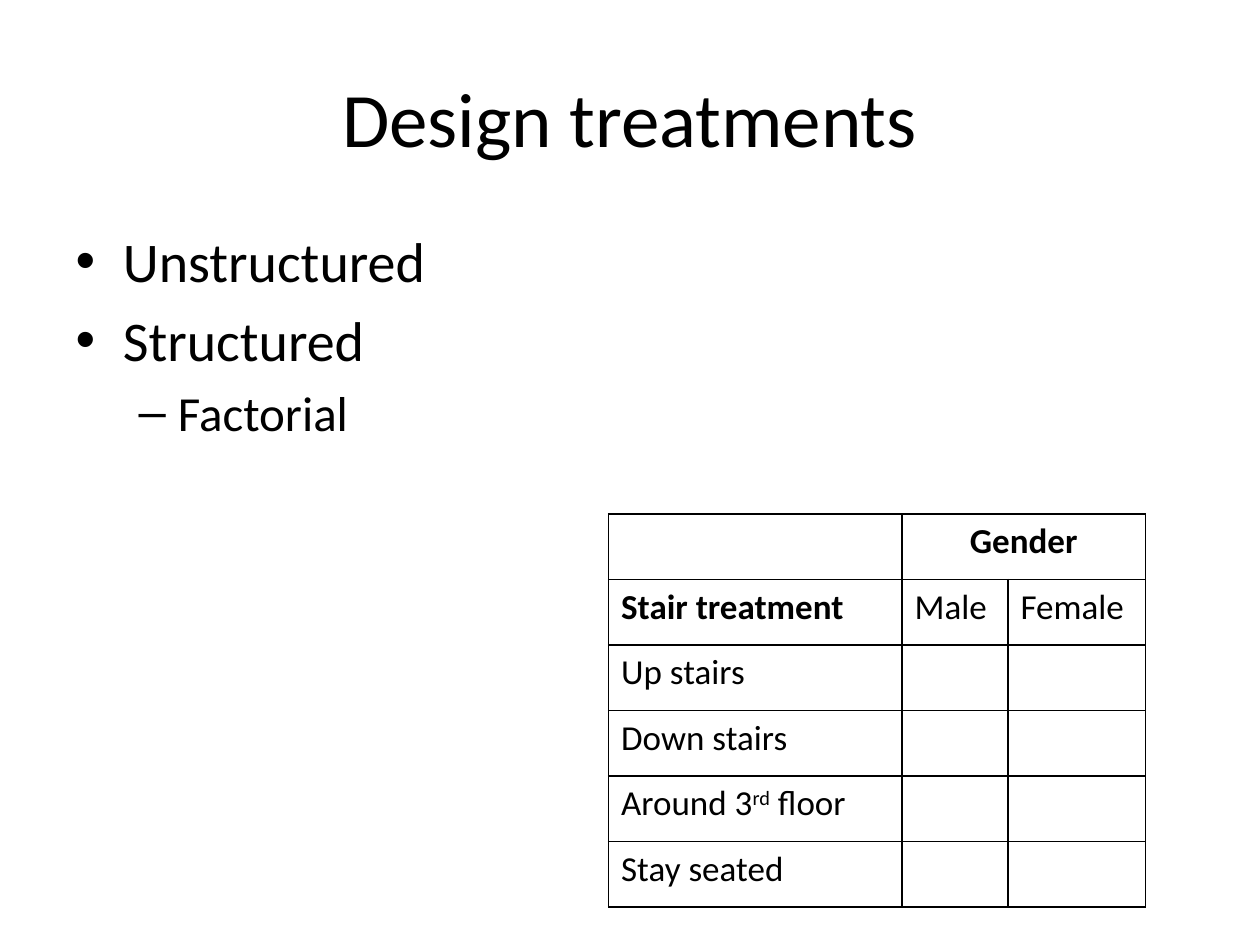
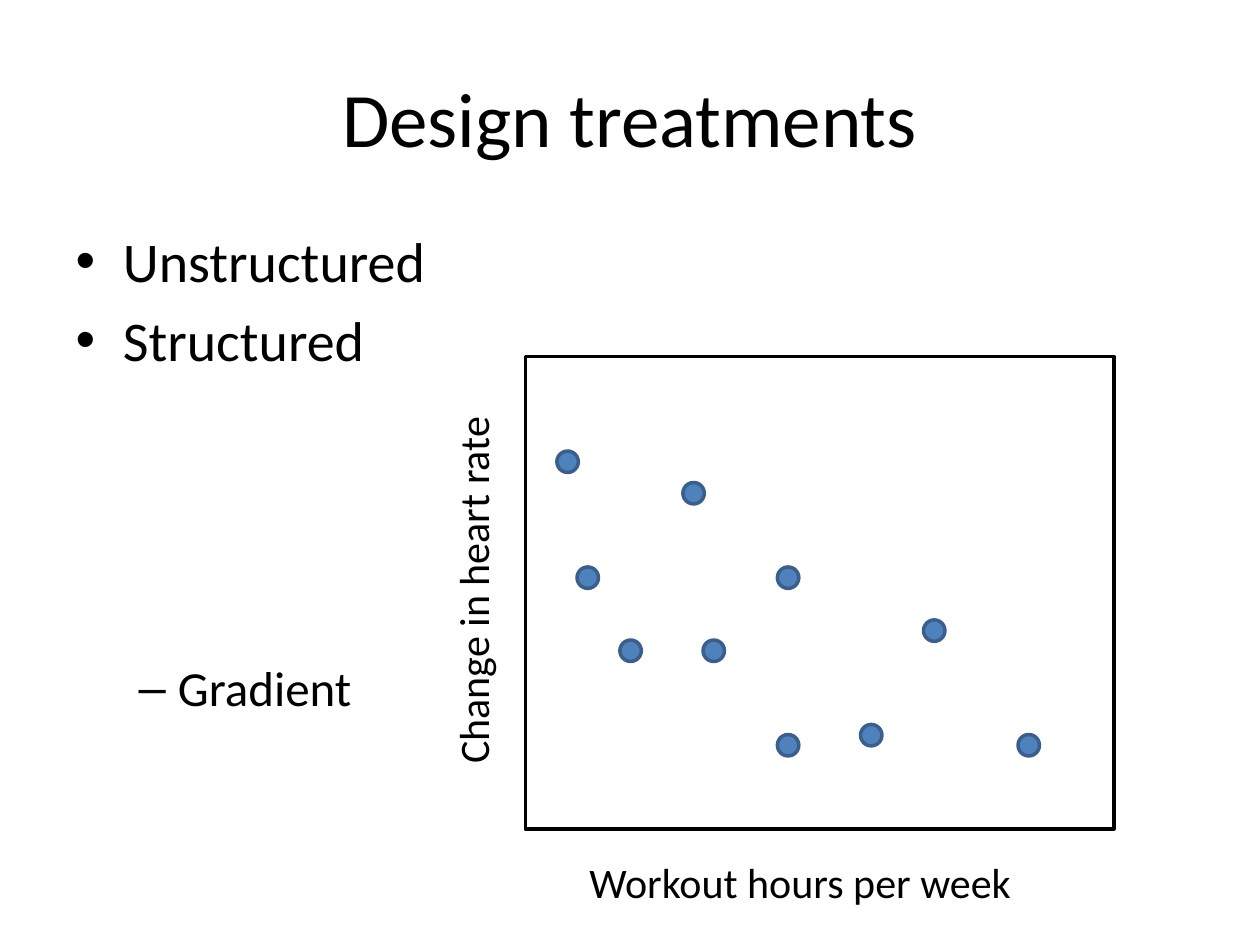
from lxml.etree import SubElement
from pptx import Presentation
from pptx.dml.color import RGBColor
from pptx.enum.shapes import MSO_SHAPE
from pptx.enum.text import MSO_AUTO_SIZE, PP_ALIGN
from pptx.oxml.ns import qn
from pptx.util import Inches, Pt

FONT = "Calibri"
COLOURS = {"ink": "000000", "dot": "4F81BD", "dot_edge": "3A5F8C"}
TITLE = "Design treatments"
TITLE_SIZE, LABEL_SIZE, CELL_SIZE = 44, 24, 20
LEVEL_SIZES = [32, 28]
TITLE_BOX = (0.5, 0.3, 9, 1.25)
BODY_BOX = (0.5, 1.75, 9, 4.95)

COLUMN_WIDTHS = [2.33, 0.84, 1.09]
# Each cell is a list of (text, is superscript) runs
TREATMENT_ROWS = [
    [[], [("Gender", False)], []],
    [[("Stair treatment", False)], [("Male", False)], [("Female", False)]],
    [[("Up stairs", False)], [], []],
    [[("Down stairs", False)], [], []],
    [[("Around 3", False), ("rd", True), (" floor", False)], [], []],
    [[("Stay seated", False)], [], []],
]
BOLD_CELLS = {(0, 1), (1, 0)}

# Dot positions, from the top left corner of the plot
DOT_SIZE = 0.17
HEART_RATE_DOTS = [
    (0.25, 0.75), (0.41, 1.67), (0.75, 2.25), (1.25, 1), (1.41, 2.25),
    (2, 1.67), (2, 3), (2.66, 2.92), (3.16, 2.09), (3.91, 3),
]


def colour(name):
    return RGBColor.from_string(COLOURS[name])


def inches(box):
    return [Inches(length) for length in box]


def format_runs(paragraph, size, bold=False):
    for run in paragraph.runs:
        run.font.name = FONT
        run.font.size = Pt(size)
        run.font.bold = bold
        run.font.color.rgb = colour("ink")


def place(shape, box):
    shape.left, shape.top, shape.width, shape.height = inches(box)


def add_list_slide(presentation, items):
    """Add a titled slide; items are (text, level, space before or None)."""
    slide = presentation.slides.add_slide(presentation.slide_layouts[1])
    title, body = slide.shapes.title, slide.placeholders[1]
    place(title, TITLE_BOX)
    title.text_frame.text = TITLE
    format_runs(title.text_frame.paragraphs[0], TITLE_SIZE)

    place(body, BODY_BOX)
    body.text_frame.text = "\n".join(text for text, _, _ in items)
    for paragraph, (_, level, space_before) in zip(body.text_frame.paragraphs, items):
        paragraph.level = level
        if space_before is not None:
            paragraph.space_before = Pt(space_before)
        format_runs(paragraph, LEVEL_SIZES[level])
    return slide


def add_cell_borders(cell):
    properties = cell._tc.get_or_add_tcPr()
    for side in ("a:lnL", "a:lnR", "a:lnT", "a:lnB"):
        line = SubElement(properties, qn(side), w=str(Pt(1)))
        fill = SubElement(line, qn("a:solidFill"))
        SubElement(fill, qn("a:srgbClr"), val=COLOURS["ink"])


def add_treatment_table(slide, box):
    table = slide.shapes.add_table(
        len(TREATMENT_ROWS), len(COLUMN_WIDTHS), *inches(box)).table
    table.first_row = table.horz_banding = False
    for column, width in zip(table.columns, COLUMN_WIDTHS):
        column.width = Inches(width)
    for row in table.rows:
        row.height = Inches(box[3] / len(TREATMENT_ROWS))

    for row_index, row in enumerate(TREATMENT_ROWS):
        for column_index, parts in enumerate(row):
            cell = table.cell(row_index, column_index)
            add_cell_borders(cell)
            cell.fill.background()
            paragraph = cell.text_frame.paragraphs[0]
            for text, superscript in parts:
                run = paragraph.add_run()
                run.text = text
                if superscript:
                    run._r.get_or_add_rPr().set("baseline", "30000")
            paragraph.font.size = Pt(CELL_SIZE)
            format_runs(paragraph, CELL_SIZE, (row_index, column_index) in BOLD_CELLS)

    # Gender heads both of its columns
    gender = table.cell(0, 1)
    gender.merge(table.cell(0, 2))
    gender.text_frame.paragraphs[0].alignment = PP_ALIGN.CENTER


def add_axis_label(slide, text, box, rotation=0):
    label = slide.shapes.add_textbox(*inches(box))
    label.rotation = rotation
    label.text_frame.word_wrap = True
    label.text_frame.auto_size = MSO_AUTO_SIZE.SHAPE_TO_FIT_TEXT
    label.text_frame.text = text
    format_runs(label.text_frame.paragraphs[0], LABEL_SIZE)


def add_outlined_shape(slide, kind, box, line_colour, fill_colour=None):
    shape = slide.shapes.add_shape(kind, *inches(box))
    shape.shadow.inherit = False
    shape.line.color.rgb = colour(line_colour)
    shape.line.width = Pt(2)
    if fill_colour:
        shape.fill.solid()
        shape.fill.fore_color.rgb = colour(fill_colour)
    else:
        shape.fill.background()


def add_scatter_sketch(slide, box):
    left, top, width, height = box
    # Frame and axis labels
    add_outlined_shape(slide, MSO_SHAPE.RECTANGLE, box, "ink")
    add_axis_label(slide, "Workout hours per week",
                   (left + 0.41, top + height + 0.17, 4, 0.5))
    add_axis_label(slide, "Change in heart rate",
                   (left - 1.92, top + 1.58, 3, 0.5), rotation=270)
    # Observations
    for across, down in HEART_RATE_DOTS:
        add_outlined_shape(slide, MSO_SHAPE.OVAL,
                           (left + across, top + down, DOT_SIZE, DOT_SIZE),
                           "dot_edge", "dot")


def main():
    presentation = Presentation()
    presentation.slide_width, presentation.slide_height = Inches(10), Inches(7.5)
    common_items = [("Unstructured", 0, None), ("Structured", 0, None)]

    factorial = add_list_slide(presentation, common_items + [("Factorial", 1, None)])
    add_treatment_table(factorial, (4.83, 4.08, 4.26, 3.12))

    gradient = add_list_slide(presentation, common_items + [("Gradient", 1, 163)])
    add_scatter_sketch(gradient, (4.17, 2.83, 4.67, 3.75))

    presentation.save("out.pptx")


if __name__ == "__main__":
    main()
